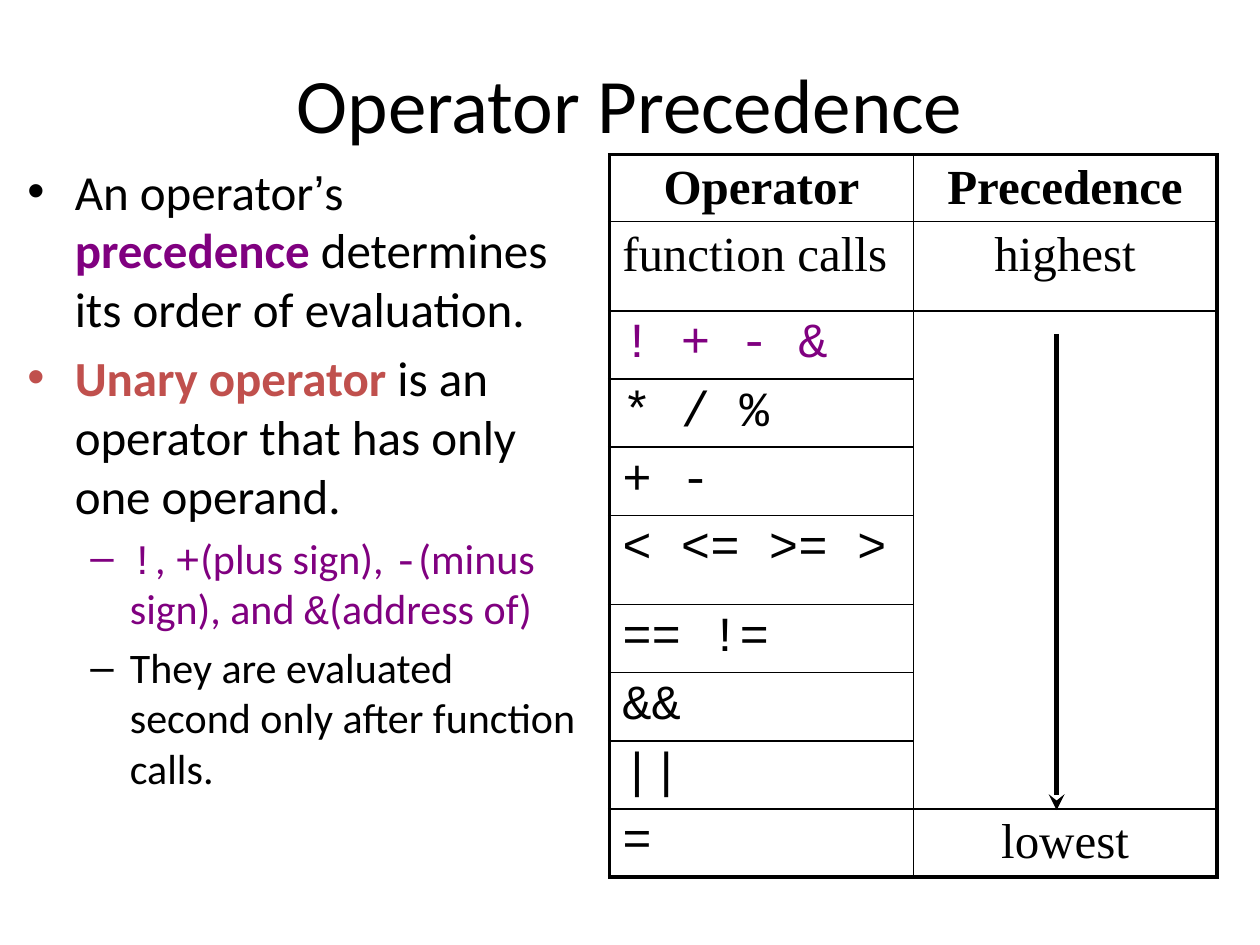
from dataclasses import dataclass

from lxml.etree import SubElement
from pptx import Presentation
from pptx.dml.color import RGBColor
from pptx.enum.shapes import MSO_CONNECTOR
from pptx.enum.text import MSO_ANCHOR, MSO_AUTO_SIZE, PP_ALIGN
from pptx.oxml import parse_xml
from pptx.oxml.ns import nsdecls, qn
from pptx.util import Cm, Pt

BLACK, PURPLE, RED = "000000", "800080", "C0504D"
SANS, SERIF, MONO = "Calibri", "Times New Roman", "Courier New"
THIN, THICK = 1, 2.25


@dataclass(frozen=True)
class Run:
    """A stretch of body text in one format."""
    text: str
    font: str = SANS
    color: str = BLACK
    bold: bool = False


@dataclass(frozen=True)
class Bullet:
    """A list item made of runs."""
    level: int
    size: int
    runs: tuple[Run, ...]


@dataclass(frozen=True)
class Row:
    """A table row with its operator and precedence."""
    operator: str
    precedence: str = ""
    height: float = 1.2
    font: str = MONO
    color: str = BLACK
    bold: bool = False
    align: PP_ALIGN = PP_ALIGN.LEFT


BULLETS = (
    Bullet(0, 28, (
        Run("An operator"), Run("’", "Arial"), Run("s "),
        Run("precedence", color=PURPLE, bold=True),
        Run(" determines its order of evaluation."))),
    Bullet(0, 28, (
        Run("Unary operator", color=RED, bold=True),
        Run(" is an operator that has only one operand."))),
    Bullet(1, 24, tuple(
        Run(text, font, PURPLE) for text, font in (
            ("!", MONO), (", ", SANS), ("+", MONO), ("(plus sign), ", SANS),
            ("-", MONO), ("(minus sign), and ", SANS),
            ("&", MONO), ("(address of)", SANS)))),
    Bullet(1, 24, (
        Run("They are evaluated second only after function calls."),)),
)

ROWS = (
    Row("Operator", "Precedence", font=SERIF, bold=True, align=PP_ALIGN.CENTER),
    Row("function calls", "highest", height=1.8, font=SERIF),
    Row("! + - &", color=PURPLE),
    Row("* / %"),
    Row("+ -"),
    Row("< <= >= >", height=1.8),
    Row("== !="),
    Row("&&"),
    Row("||"),
    Row("=", "lowest"),
)


def rgb(color: str) -> RGBColor:
    """Turn a hex string into a colour."""
    return RGBColor.from_string(color)


def add_text(paragraph, text: str, *, size: float, font: str = SANS,
             color: str = BLACK, bold: bool = False) -> None:
    """Append a formatted run to a paragraph."""
    run = paragraph.add_run()
    run.text = text
    run.font.size = Pt(size)
    run.font.name = font
    run.font.bold = bold
    run.font.color.rgb = rgb(color)


def place(shape, left: float, top: float, width: float, height: float) -> None:
    """Position a shape by centimetres."""
    shape.left, shape.top = Cm(left), Cm(top)
    shape.width, shape.height = Cm(width), Cm(height)


def set_borders(cell, left: float, right: float, top: float, bottom: float) -> None:
    """Draw the four borders of a cell, with widths in points."""
    properties = cell._tc.get_or_add_tcPr()
    sides = zip("LRTB", (left, right, top, bottom))
    for index, (side, width) in enumerate(sides):
        properties.insert(index, parse_xml(
            f'<a:ln{side} {nsdecls("a")} w="{Pt(width)}"><a:solidFill>'
            f'<a:srgbClr val="{BLACK}"/></a:solidFill></a:ln{side}>'))


def add_title(slide) -> None:
    """Fill the title placeholder."""
    title = slide.shapes.title
    place(title, 0.85, 0.48, 23.7, 3.18)
    frame = title.text_frame
    frame.vertical_anchor = MSO_ANCHOR.MIDDLE
    paragraph = frame.paragraphs[0]
    paragraph.alignment = PP_ALIGN.CENTER
    add_text(paragraph, "Operator Precedence", size=44)


def add_bullets(slide) -> None:
    """Fill the body placeholder with the list."""
    body = slide.placeholders[1]
    place(body, 0.3, 3.12, 11.63, 15.19)
    frame = body.text_frame
    frame.auto_size = MSO_AUTO_SIZE.NONE
    for index, bullet in enumerate(BULLETS):
        paragraph = frame.add_paragraph() if index else frame.paragraphs[0]
        paragraph.level = bullet.level
        for run in bullet.runs:
            add_text(paragraph, run.text, size=bullet.size, font=run.font,
                     color=run.color, bold=run.bold)


def add_precedence_table(slide) -> None:
    """Draw the table of operators."""
    last = len(ROWS) - 1
    table = slide.shapes.add_table(
        len(ROWS), 2, Cm(12.29), Cm(3.12), Cm(12.24),
        Cm(sum(row.height for row in ROWS))).table
    table.first_row = table.horz_banding = False
    for index, row in enumerate(ROWS):
        table.rows[index].height = Cm(row.height)
        entries = (
            (row.operator, row.font, row.align),
            (row.precedence, SERIF, PP_ALIGN.CENTER),
        )
        for column, (text, font, align) in enumerate(entries):
            cell = table.cell(index, column)
            cell.fill.background()
            set_borders(cell,
                        left=THIN if column else THICK,
                        right=THICK if column else THIN,
                        top=THIN if index else THICK,
                        bottom=THICK if index == last else THIN)
            paragraph = cell.text_frame.paragraphs[0]
            paragraph.alignment = align
            if text:
                add_text(paragraph, text, size=28, font=font,
                         color=row.color, bold=row.bold)
    table.cell(2, 1).merge(table.cell(last - 1, 1))


def add_precedence_arrow(slide) -> None:
    """Draw the arrow from highest to lowest."""
    arrow = slide.shapes.add_connector(
        MSO_CONNECTOR.STRAIGHT, Cm(21.3), Cm(6.73), Cm(21.3), Cm(16.33))
    arrow.line.color.rgb = rgb(BLACK)
    arrow.line.width = Pt(3)
    SubElement(arrow.line._get_or_add_ln(), qn("a:tailEnd"), type="stealth")
    SubElement(arrow._element.spPr, qn("a:effectLst"))


def main() -> None:
    """Build and save the slide."""
    presentation = Presentation()
    presentation.slide_width, presentation.slide_height = Cm(25.4), Cm(19.05)
    slide = presentation.slides.add_slide(presentation.slide_layouts[1])
    add_title(slide)
    add_bullets(slide)
    add_precedence_table(slide)
    add_precedence_arrow(slide)
    presentation.save("out.pptx")


main()
